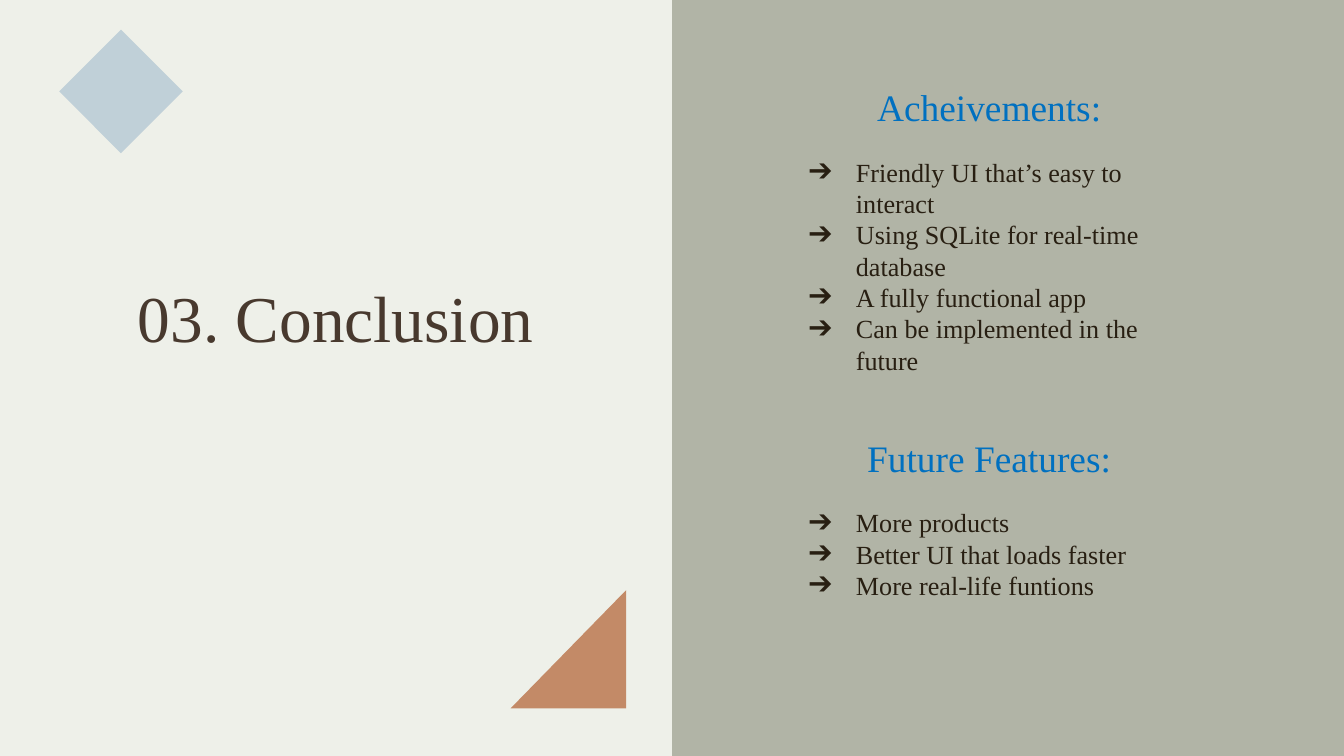
from dataclasses import dataclass

from lxml.etree import SubElement
from pptx import Presentation
from pptx.dml.color import RGBColor
from pptx.enum.shapes import MSO_SHAPE as Shape
from pptx.enum.text import MSO_ANCHOR as Anchor, PP_ALIGN as Align
from pptx.oxml.ns import qn
from pptx.util import Inches, Pt


@dataclass(frozen=True)
class Theme:
    font: str = "Times New Roman"
    background: str = "B1B4A6"
    panel: str = "EEF0E9"
    title: str = "48392E"
    heading: str = "0070C0"
    body: str = "281F12"
    clay: str = "C38A67"
    sky: str = "C0D0D8"
    title_size: int = 35
    heading_size: int = 20
    body_size: int = 14


class SlideBuilder:
    def __init__(self, page, theme):
        self.page = page
        self.theme = theme
        fill = page.background.fill
        fill.solid()
        fill.fore_color.rgb = RGBColor.from_string(theme.background)

    def shape(self, kind, left, top, width, height, color):
        shape = self.page.shapes.add_shape(
            kind, Inches(left), Inches(top), Inches(width), Inches(height))
        shape.shadow.inherit = False
        shape.fill.solid()
        shape.fill.fore_color.rgb = RGBColor.from_string(color)
        shape.line.fill.background()
        return shape

    def text(self, lines, left, top, width, height, size, color,
             anchor=Anchor.MIDDLE, align=Align.CENTER):
        box = self.page.shapes.add_textbox(
            Inches(left), Inches(top), Inches(width), Inches(height))
        frame = box.text_frame
        frame.word_wrap = True
        frame.vertical_anchor = anchor
        frame.margin_left = frame.margin_right = Inches(0.1)
        frame.margin_top = frame.margin_bottom = Inches(0.1)
        frame.text = "\n".join(lines)
        for para in frame.paragraphs:
            para.alignment = align
            para.font.name = self.theme.font
            para.font.size = Pt(size)
            para.font.color.rgb = RGBColor.from_string(color)
        return frame

    def bullets(self, lines, left, top, width, height):
        theme = self.theme
        frame = self.text(lines, left, top, width, height, theme.body_size,
                          theme.body, Anchor.TOP, Align.LEFT)
        for para in frame.paragraphs:
            props = para._p.get_or_add_pPr()
            props.set("marL", str(Inches(0.5)))
            props.set("indent", str(Inches(-0.35)))
            # The schema wants the bullet ahead of the run defaults.
            defaults = props.find(qn("a:defRPr"))
            defaults.addprevious(
                SubElement(props, qn("a:buFont"), typeface=theme.font))
            defaults.addprevious(SubElement(props, qn("a:buChar"), char="➔"))

    def section(self, heading, lines, top):
        """Add a heading with its bulleted list directly below."""
        left, width, heading_height = 5.77, 3.18, 0.48
        self.text([heading], left, top, width, heading_height,
                  self.theme.heading_size, self.theme.heading, Anchor.BOTTOM)
        self.bullets(lines, left, top + heading_height, width, 1.78)


def main():
    deck = Presentation()
    deck.slide_width = Inches(10)
    deck.slide_height = deck.slide_width * 9 // 16
    theme = Theme()
    builder = SlideBuilder(deck.slides.add_slide(deck.slide_layouts[6]), theme)

    builder.shape(Shape.RECTANGLE, 0, -0.02, 5, 5.65, theme.panel)
    builder.text(["03. Conclusion"], 0.78, 1.89, 3.44, 0.92,
                 theme.title_size, theme.title)
    builder.section("Acheivements:", [
        "Friendly UI that’s easy to interact",
        "Using SQLite for real-time database",
        "A fully functional app",
        "Can be implemented in the future",
    ], 0.58)
    builder.section("Future Features:", [
        "More products",
        "Better UI that loads faster",
        "More real-life funtions",
    ], 3.19)

    triangle = builder.shape(Shape.ISOSCELES_TRIANGLE, 3.8, 4.39, 0.86, 0.88,
                             theme.clay)
    triangle.adjustments[0] = 1
    builder.shape(Shape.DIAMOND, 0.44, 0.22, 0.92, 0.92, theme.sky)

    deck.save("out.pptx")


if __name__ == "__main__":
    main()
